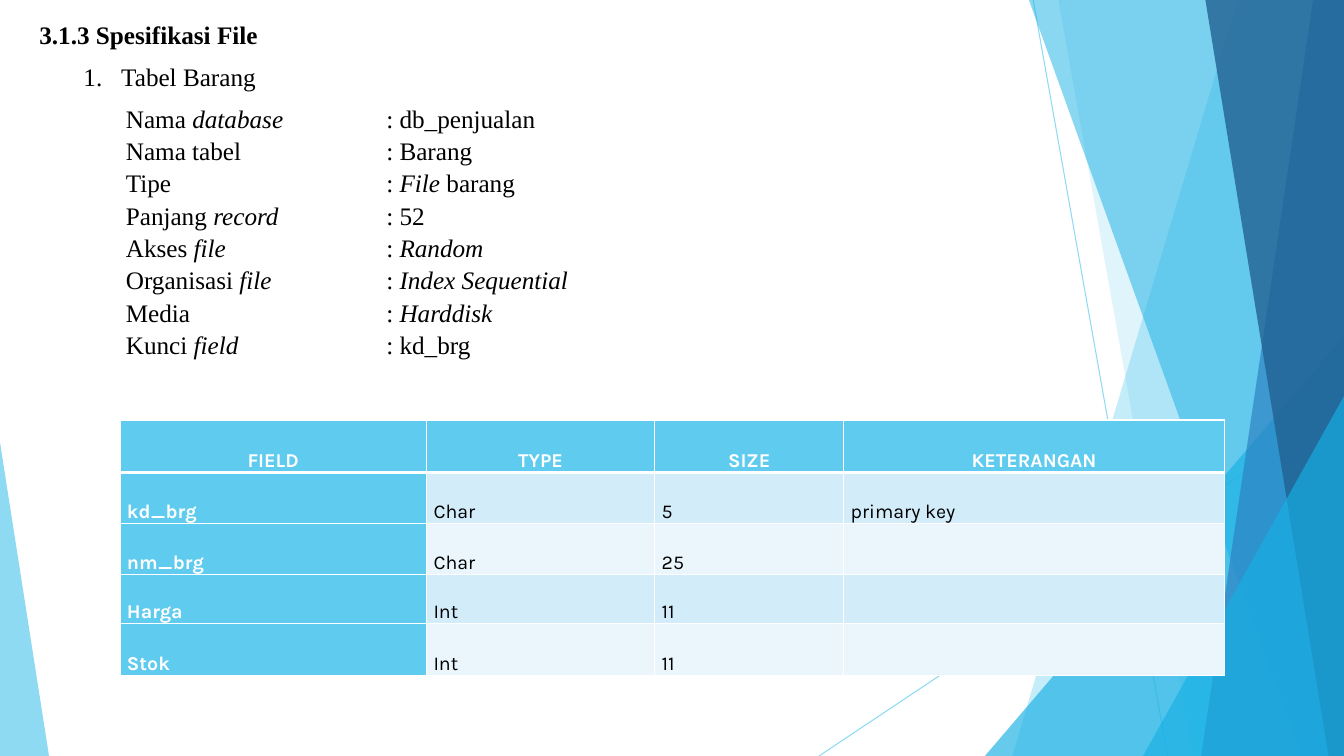
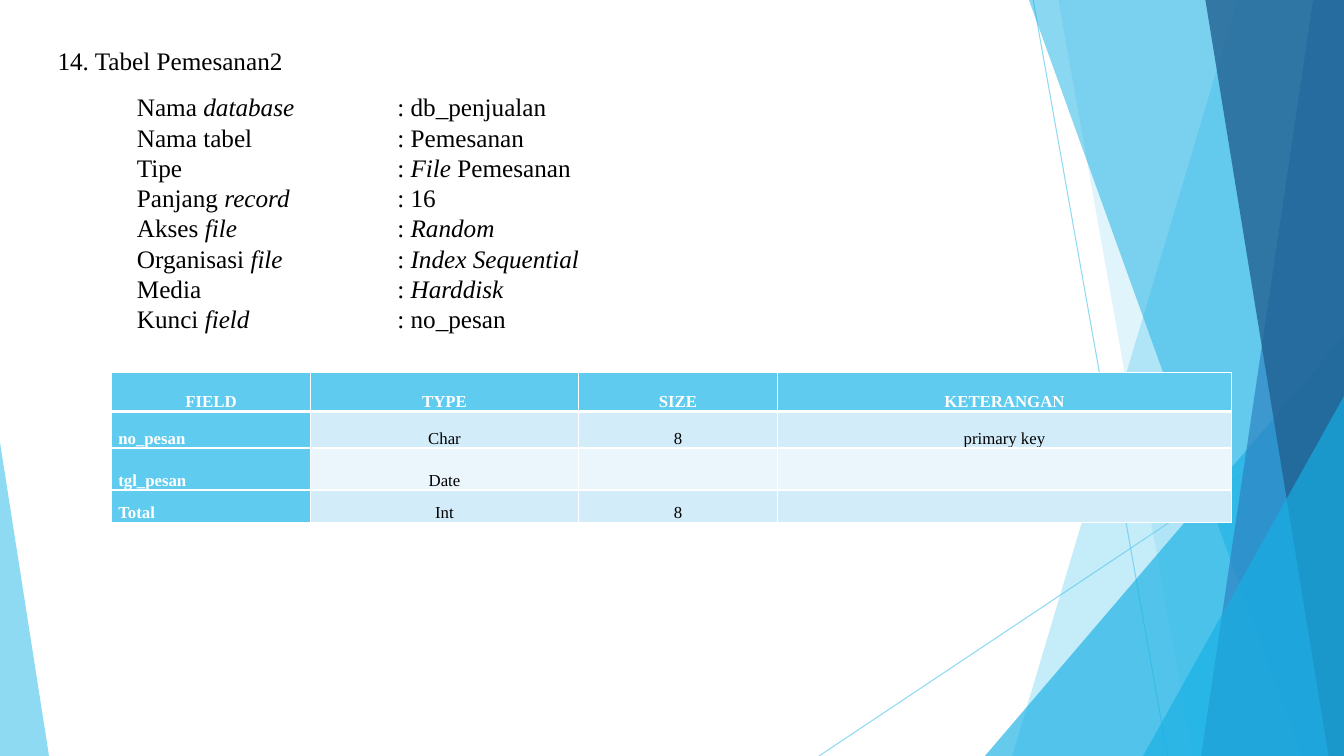
"""Build two slides that describe database tables on a faceted blue theme."""
from pptx import Presentation
from pptx.dml.color import RGBColor as Rgb
from pptx.enum.shapes import MSO_CONNECTOR as Conn, MSO_SHAPE as Shape
from pptx.enum.text import MSO_ANCHOR as Anchor, PP_ALIGN as Align
from pptx.oxml import parse_xml
from pptx.oxml.ns import nsdecls, qn
from pptx.util import Pt

WIDE, HIGH = 960, 540
SERIF = "Times New Roman"
HUES = {
    "sky": "5FCBEF", "cyan": "17B0E4", "blue": "2E83C3", "navy": "226292",
    "pale": "D2ECF9", "mist": "EAF6FC", "white": "FFFFFF", "black": "000000",
}
RAYS = [(738, 0, 834, HIGH), (WIDE, 290, 585, HIGH)]
FACETS = [
    ("band", (884, 723), "sky", 36),
    ("band", (756, 852), "sky", 20),
    ("peak", (703.5, 240, 256.5, 300, 1), "cyan", 66),
    ("band", (735, 929.5), "cyan", 50),
    ("band", (938, 858), "blue", 70),
    ("band", (861, 949), "navy", 80),
    ("peak", (816.5, 283, 143.5, 257, 1), "cyan", 66),
    ("peak", (0, 316, 35, 224, 0), "sky", 70),
]
LABELS = ["Nama *database*", "Nama tabel", "Tipe", "Panjang *record*",
          "Akses *file*", "Organisasi *file*", "Media", "Kunci *field*"]
HEAD = ["FIELD", "TYPE", "SIZE", "KETERANGAN"]
TAB = 186

SLIDES = [
    {
        "heads": [
            {"text": "3.1.3 Spesifikasi File", "at": (21, 9), "bold": True},
            {"text": "Tabel Barang", "at": (52.5, 39), "num": True},
        ],
        "lead": 1.07,
        "specs": ["db_penjualan", "Barang", "*File* barang", "52", "*Random*",
                  "*Index Sequential*", "*Harddisk*", "kd_brg"],
        "list": (82.8, 68.4, 192), "pitch": 23.1,
        "rows": [["kd_brg", "Char", "5", "primary key"],
                 ["nm_brg", "Char", "25", ""],
                 ["Harga", "Int", "11", ""],
                 ["Stok", "Int", "11", ""]],
        "grid": (85.7, 300), "wide": [219, 163, 135, 272],
        "tall": [37.5, 36.5, 36.5, 35, 37],
        "font": ("Karla", 14), "align": Align.LEFT,
    },
    {
        "heads": [{"text": "14. Tabel Pemesanan2", "at": (34, 29)}],
        "lead": 1,
        "specs": ["db_penjualan", "Pemesanan", "*File* Pemesanan", "16", "*Random*",
                  "*Index Sequential*", "*Harddisk*", "no_pesan"],
        "list": (90.7, 62, 181), "pitch": 21.6,
        "rows": [["no_pesan", "Char", "8", "primary key"],
                 ["tgl_pesan", "Date", "", ""],
                 ["Total", "Int", "8", ""]],
        "grid": (79.5, 266), "wide": [142.5, 191, 142.5, 324],
        "tall": [28, 26, 30, 23],
        "font": (SERIF, 12), "align": Align.CENTER,
    },
]


def pts(vals):
    """Turn numbers into point lengths."""
    return [Pt(v) for v in vals]


def hue(name):
    """Look up a theme colour."""
    return Rgb.from_string(HUES[name])


def node(xml):
    """Make a drawing element."""
    tag, gap, rest = xml.partition(" ")
    return parse_xml(f"<a:{tag} {nsdecls('a')} {rest}/>")


def fade(shape, pct):
    """Make the colours of a shape see-through."""
    for clr in shape.element.spPr.iter(qn("a:srgbClr")):
        clr.append(node(f'alpha val="{pct * 1000}"'))


def style(run, face, size, tint="black", bold=False, slant=False):
    """Set the font of a run."""
    font = run.font
    font.name, font.size = face, Pt(size)
    font.bold, font.italic = bold, slant
    font.color.rgb = hue(tint)


def add_back(slide, layout):
    """Draw the facets and move them to the layout."""
    shapes = slide.shapes
    for ray in RAYS:
        line = shapes.add_connector(Conn.STRAIGHT, *pts(ray))
        line.line.color.rgb = hue("sky")
        line.line.width = Pt(0.75)
        line.element.spPr.append(node("effectLst"))
        fade(line, 70)
    for kind, geo, tint, pct in FACETS:
        if kind == "band":
            top, low = geo
            pen = shapes.build_freeform(Pt(top), 0)
            pen.add_line_segments(
                [pts(p) for p in ((WIDE, 0), (WIDE, HIGH), (low, HIGH))], close=True)
            facet = pen.convert_to_shape()
        else:
            facet = shapes.add_shape(Shape.ISOSCELES_TRIANGLE, *pts(geo[:4]))
            facet.adjustments[0] = geo[4]
        facet.shadow.inherit = False
        facet.fill.solid()
        facet.fill.fore_color.rgb = hue(tint)
        facet.line.fill.background()
        fade(facet, pct)
    for hold in list(layout.placeholders):
        hold.element.getparent().remove(hold.element)
    for shape in list(shapes):
        layout.element.cSld.spTree.append(shape.element)


def add_text(slide, lines, box, lead, bold=False):
    """Add a text box in which stars mark italics."""
    shape = slide.shapes.add_textbox(*pts(box))
    frame = shape.text_frame
    frame.word_wrap = True
    for i, line in enumerate(lines):
        para = frame.add_paragraph() if i else frame.paragraphs[0]
        para.line_spacing = lead
        for j, part in enumerate(line.split("*")):
            if part:
                run = para.add_run()
                run.text = part
                style(run, SERIF, 18, bold=bold, slant=j % 2 == 1)
    return shape


def add_head(slide, head, lead):
    """Add a heading, numbered if asked."""
    shape = add_text(slide, [head["text"]], (*head["at"], 480, 29.5), lead,
                     head.get("bold", False))
    if head.get("num"):
        for prop in shape.element.iter(qn("a:pPr")):
            prop.set("marL", str(Pt(27)))
            prop.set("indent", str(-Pt(27)))
            prop.append(node('buFont typeface="+mj-lt"'))
            prop.append(node('buAutoNum type="arabicPeriod"'))


def add_specs(slide, data):
    """Add the list of labels and values, lined up on a tab."""
    left, top, high = data["list"]
    lines = [f"{k}\t: {v}" for k, v in zip(LABELS, data["specs"])]
    shape = add_text(slide, lines, (left, top, 480, high), Pt(data["pitch"]))
    for prop in shape.element.iter(qn("a:pPr")):
        tabs = node("tabLst")
        tabs.append(node(f'tab pos="{Pt(TAB)}" algn="l"'))
        prop.append(tabs)


def add_lines(frame, cols):
    """Rule every cell in white, with a thick line below the header."""
    for i, prop in enumerate(frame.element.iter(qn("a:tcPr"))):
        row = i // cols
        for j, side in enumerate("LRTB"):
            thick = (row, side) in ((0, "B"), (1, "T"))
            line = node(f'ln{side} w="{Pt(3 if thick else 1)}"')
            fill = node("solidFill")
            fill.append(node(f'srgbClr val="{HUES["white"]}"'))
            line.append(fill)
            prop.insert(j, line)


def add_grid(slide, data):
    """Add the table of fields."""
    rows, wide, tall = [HEAD] + data["rows"], data["wide"], data["tall"]
    box = (*data["grid"], sum(wide), sum(tall))
    frame = slide.shapes.add_table(len(rows), len(wide), *pts(box))
    table = frame.table
    for col, size in zip(table.columns, wide):
        col.width = Pt(size)
    for row, size in zip(table.rows, tall):
        row.height = Pt(size)
    for r, row in enumerate(rows):
        for c, text in enumerate(row):
            cell = table.cell(r, c)
            key = r == 0 or c == 0
            cell.margin_left = cell.margin_right = Pt(5)
            cell.margin_top = cell.margin_bottom = 0
            cell.vertical_anchor = Anchor.BOTTOM
            cell.fill.solid()
            cell.fill.fore_color.rgb = hue("sky" if key else ("mist", "pale")[r % 2])
            if text:
                cell.text_frame.text = text
                para = cell.text_frame.paragraphs[0]
                para.line_spacing = 1.07
                side = Align.LEFT if c == 0 else data["align"]
                para.alignment = Align.CENTER if r == 0 else side
                style(para.runs[0], *data["font"], "white" if key else "black", key)
    add_lines(frame, len(wide))


def main():
    """Build and save the slides."""
    deck = Presentation()
    deck.slide_width, deck.slide_height = pts((WIDE, HIGH))
    layout = deck.slide_layouts[6]
    for i, data in enumerate(SLIDES):
        slide = deck.slides.add_slide(layout)
        if i == 0:
            add_back(slide, layout)
        for head in data["heads"]:
            add_head(slide, head, data["lead"])
        add_specs(slide, data)
        add_grid(slide, data)
    deck.save("out.pptx")


if __name__ == "__main__":
    main()
